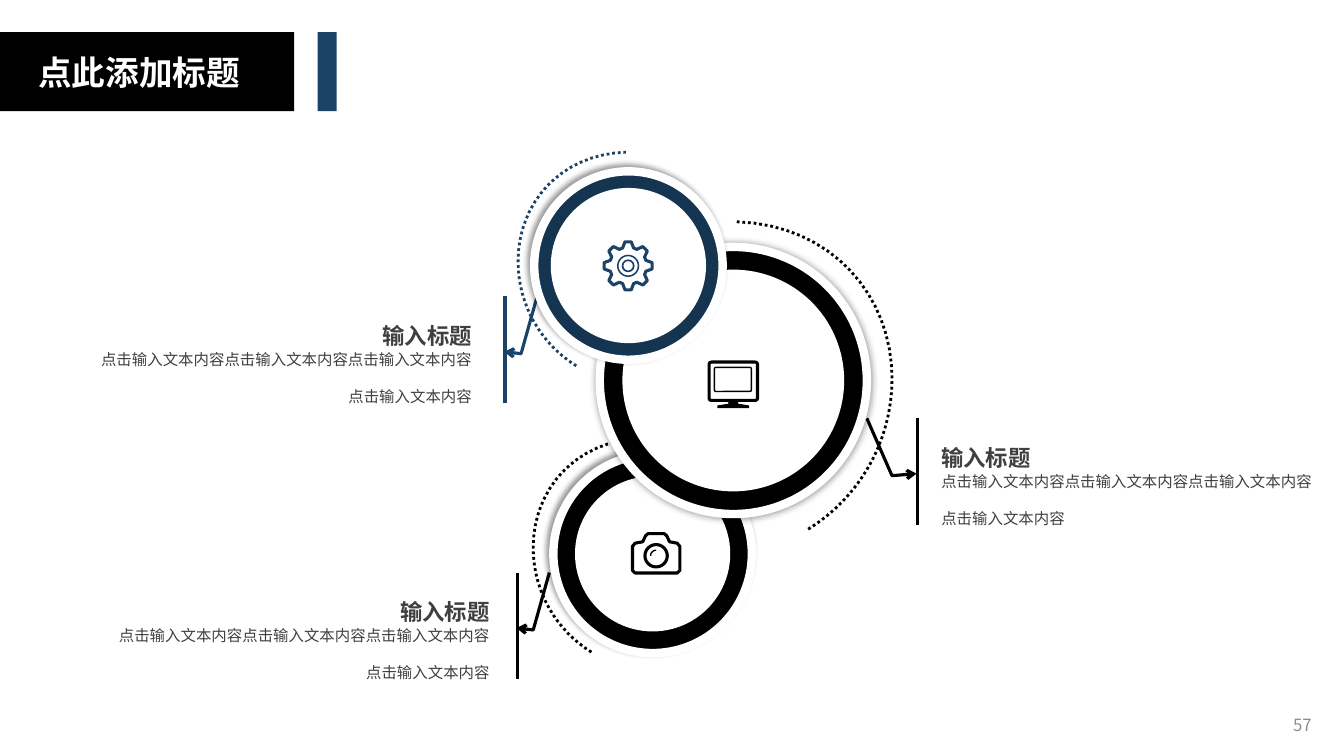
import math

import lxml.etree
import pptx
import pptx.dml.color
import pptx.enum.dml
import pptx.enum.shapes
import pptx.enum.text
import pptx.oxml.ns
import pptx.util

Pt = pptx.util.Pt
rgb = pptx.dml.color.RGBColor.from_string
qn = pptx.oxml.ns.qn
SHAPE = pptx.enum.shapes.MSO_SHAPE
ALIGN = pptx.enum.text.PP_ALIGN
ANCHOR = pptx.enum.text.MSO_ANCHOR
BLACK, NAVY, WHITE, GRAY = "000000", "1B4367", "FFFFFF", "3F3F3F"
FONT = "Noto Sans CJK SC"

presentation = pptx.Presentation()
presentation.slide_width, presentation.slide_height = Pt(960), Pt(540)
slide = presentation.slides.add_slide(presentation.slide_layouts[5])
shapes = slide.shapes


def outline(points, color, weight, closed=False):
    """Draw an unfilled line through points given in points."""
    corners = [(Pt(x), Pt(y)) for x, y in points]
    builder = shapes.build_freeform(*corners[0])
    builder.add_line_segments(corners[1:], close=closed)
    shape = builder.convert_to_shape()
    shape.shadow.inherit = False
    shape.fill.background()
    shape.line.color.rgb = rgb(color)
    shape.line.width = Pt(weight)
    return shape


def write(shape, text, size, color, align, bold=False, spacing=1.0,
          anchor=ANCHOR.TOP, wrap=True):
    """Fill a text shape with one formatted paragraph."""
    frame = shape.text_frame
    frame.word_wrap = wrap
    frame.vertical_anchor = anchor
    paragraph = frame.paragraphs[0]
    paragraph.alignment = align
    paragraph.line_spacing = spacing
    run = paragraph.add_run()
    run.text = text
    for name, value in {"size": Pt(size), "bold": bold, "name": FONT}.items():
        setattr(run.font, name, value)
    run.font.color.rgb = rgb(color)
    east_asian = lxml.etree.SubElement(run._r.get_or_add_rPr(), qn("a:ea"))
    east_asian.set("typeface", FONT)


# Dotted arcs: two joined Bezier curves in a unit box, mirrored on the right
arc_curves = [[(0.54, 1), (0.22, 0.9), (0, 0.72), (0, 0.51)],
              [(0, 0.51), (0, 0.24), (0.39, 0.01), (1, 0)]]
steps = 16
unit_arc = []
for curve in arc_curves:
    for step in range(steps + 1):
        t = step / steps
        weights = [math.comb(3, k) * t**k * (1 - t)**(3 - k) for k in range(4)]
        unit_arc.append([sum(w * point[axis] for w, point in zip(weights, curve))
                         for axis in (0, 1)])

# Outer edge x, top, signed width, height, colour
for edge, top, width, height, color in [
        (637.2, 158.4, -110.9, 219.6, BLACK),
        (380.9, 313.2, 77, 152.6, BLACK),
        (370.1, 108.7, 77, 152.6, NAVY)]:
    arc = outline([(edge + u * width, top + v * height) for u, v in unit_arc], color, 2)
    arc.line.dash_style = pptx.enum.dml.MSO_LINE.ROUND_DOT

# Callouts: bar x, bar top, reach towards the ring, text left, colour
body_width, heading_width = 286.6, 79.2
for x, top, reach, left, color in [
        (360.7, 211.7, 23, 57.6, NAVY),
        (369.4, 409, 23, 70.3, BLACK),
        (655.2, 298.8, -36, 665.3, BLACK)]:
    arrow = outline([(x + reach, top), (x + reach / 2, top + 41), (x - 0.5, top + 39.6)],
                    color, 2.25)
    lxml.etree.SubElement(arrow.line._get_or_add_ln(), qn("a:tailEnd")).set("type", "arrow")
    bar = shapes.add_connector(pptx.enum.shapes.MSO_CONNECTOR.STRAIGHT,
                               Pt(x), Pt(top), Pt(x), Pt(top + 76))
    bar.line.color.rgb = rgb(color)
    bar.line.width = Pt(2.25)
    lxml.etree.SubElement(bar._element.spPr, qn("a:effectLst"))

    on_left = reach > 0
    align = ALIGN.RIGHT if on_left else ALIGN.LEFT
    heading_left = left + (body_width - heading_width if on_left else 0)
    heading = shapes.add_textbox(Pt(heading_left), Pt(top - 4.5), Pt(heading_width), Pt(40.3))
    write(heading, "输入标题", 16, GRAY, align, bold=True, spacing=2.0, wrap=False)
    body = shapes.add_textbox(Pt(left), Pt(top + 21.8), Pt(body_width), Pt(56.9))
    write(body, "点击输入文本内容" * 4, 11, GRAY, align, spacing=2.0)

# Rings: centre, outer and inner diameter, pattern colours, shadow blur/distance/angle
for x, y, outer, inner, front, back, blur, distance, angle in [
        (466.2, 395.6, 141.8, 110.9, BLACK, BLACK, 4, 3, 225),
        (523.8, 271.8, 190.8, 158.4, BLACK, BLACK, 5, 0, 0),
        (448.9, 189.7, 134.6, 110.9, NAVY, "14324D", 4, 3, 225)]:
    ring, disc = [shapes.add_shape(SHAPE.OVAL, Pt(x - size / 2), Pt(y - size / 2),
                                   Pt(size), Pt(size)) for size in (outer, inner)]
    ring.fill.patterned()
    ring.fill.pattern = pptx.enum.dml.MSO_PATTERN.DARK_DOWNWARD_DIAGONAL
    ring.fill.fore_color.rgb = rgb(front)
    ring.fill.back_color.rgb = rgb(back)
    ring.line.color.rgb = rgb(WHITE)
    ring.line.width = Pt(6)
    ring.shadow.inherit = False
    shadow = lxml.etree.SubElement(ring._element.spPr.find(qn("a:effectLst")),
                                   qn("a:outerShdw"))
    for name, value in {"blurRad": Pt(blur), "dist": Pt(distance), "dir": angle * 60000,
                        "algn": "ctr", "rotWithShape": 0}.items():
        shadow.set(name, str(value))
    shadow_color = lxml.etree.SubElement(shadow, qn("a:srgbClr"), val=BLACK)
    lxml.etree.SubElement(shadow_color, qn("a:alpha"), val="40000")
    disc.shadow.inherit = False
    disc.fill.solid()
    disc.fill.fore_color.rgb = rgb(WHITE)
    disc.line.fill.background()

# Icon parts made of circles and rounded rectangles: centre, size, line weight
for kind, x, y, width, height, color, weight in [
        (SHAPE.OVAL, 448.7, 189.9, 14.8, 14.8, NAVY, 1.1),
        (SHAPE.OVAL, 448.7, 189.9, 8, 8, NAVY, 1.2),
        (SHAPE.ROUNDED_RECTANGLE, 523.8, 272.3, 34.6, 27.4, BLACK, 2.2),
        (SHAPE.ROUNDED_RECTANGLE, 523.5, 271, 26.4, 17.2, BLACK, 1),
        (SHAPE.OVAL, 468.7, 397, 16, 16, BLACK, 2.2)]:
    part = shapes.add_shape(kind, Pt(x - width / 2), Pt(y - height / 2), Pt(width), Pt(height))
    if kind == SHAPE.ROUNDED_RECTANGLE:
        part.adjustments[0] = 0.06
    part.shadow.inherit = False
    part.fill.background()
    part.line.color.rgb = rgb(color)
    part.line.width = Pt(weight)

# Gear outline with eight teeth
tooth = [(13.3, -17), (17.3, -7.5), (17.3, 7.5), (13.3, 17)]
outline([(448.7 + radius * math.cos(math.radians(turn + angle)),
          189.9 + radius * math.sin(math.radians(turn + angle)))
         for turn in range(0, 360, 45) for radius, angle in tooth], NAVY, 2.2, closed=True)

# Monitor stand, symmetric about the screen centre
half_stand = [(3.2, 287), (3.2, 288.7), (11, 290), (11, 291.2)]
stand = outline([(523.8 - dx, y) for dx, y in half_stand]
                + [(523.8 + dx, y) for dx, y in reversed(half_stand)], BLACK, 0.75, closed=True)
stand.fill.solid()
stand.fill.fore_color.rgb = rgb(BLACK)

# Camera body, symmetric about the lens, and the lens highlight
half_camera = [(5.8, 381.2), (7.5, 382.6), (9.6, 387), (15, 388), (16.9, 390.2),
               (16.9, 407.5), (15.1, 409.3)]
outline([(468.7 - dx, y) for dx, y in half_camera]
        + [(468.7 + dx, y) for dx, y in reversed(half_camera)], BLACK, 2.2, closed=True)
outline([(468.7 + 4 * math.cos(math.radians(angle)), 397 + 4 * math.sin(math.radians(angle)))
         for angle in range(180, 271, 15)], BLACK, 1)

# Title band and accent
for left, width, color in [(0, 210.2, BLACK), (226.8, 13.7, NAVY)]:
    band = shapes.add_shape(SHAPE.RECTANGLE, Pt(left), Pt(23), Pt(width), Pt(56.5))
    band.shadow.inherit = False
    band.fill.solid()
    band.fill.fore_color.rgb = rgb(color)
    band.line.fill.background()

# Title, brought in front of the band
title = shapes.title
for name, value in {"left": 0, "top": 33.1, "width": 198.7, "height": 36}.items():
    setattr(title, name, Pt(value))
write(title, "点此添加标题", 24, WHITE, ALIGN.CENTER, bold=True)
shapes.element.append(title.element)

# Page number
number = shapes.add_textbox(Pt(909.4), Pt(502.6), Pt(34.6), Pt(30.2))
write(number, "57", 12, "8C8C8C", ALIGN.RIGHT, anchor=ANCHOR.MIDDLE)

presentation.save("out.pptx")
